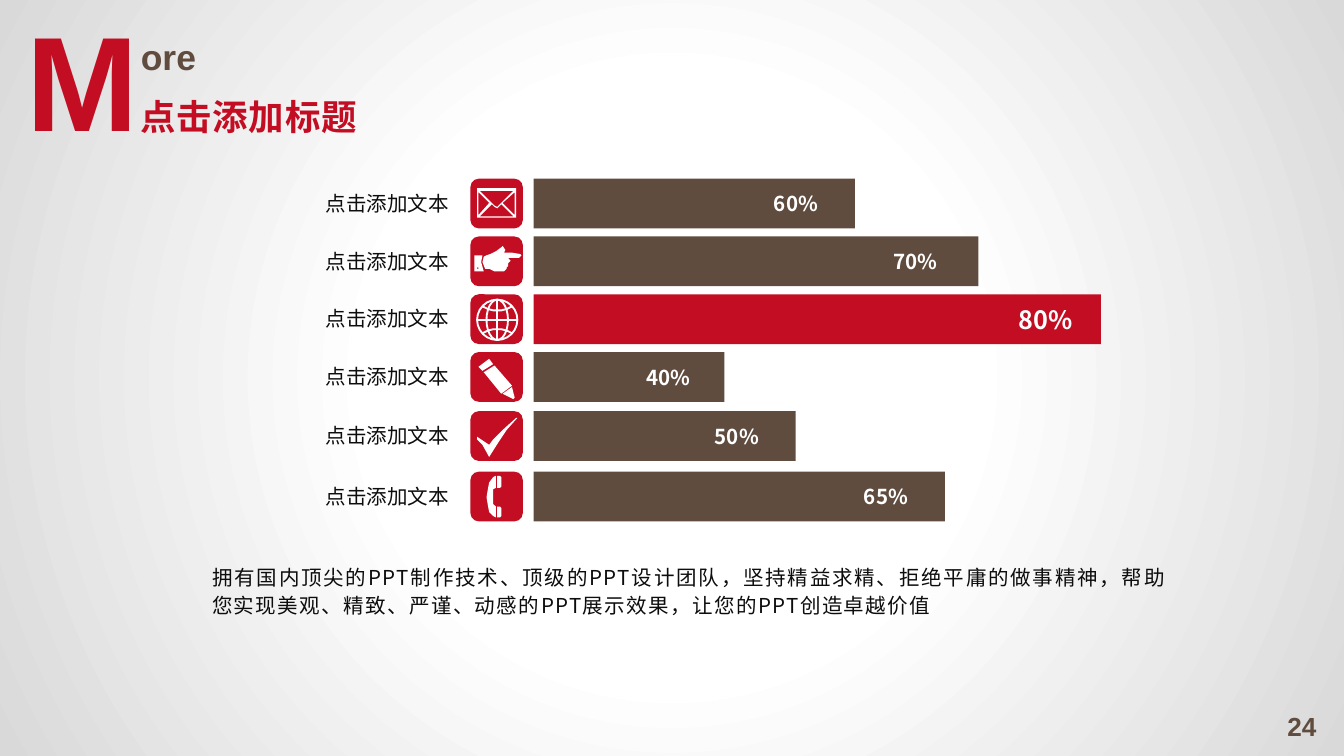
from lxml.etree import SubElement
from pptx import Presentation
from pptx.dml.color import RGBColor
from pptx.enum.shapes import MSO_CONNECTOR, MSO_SHAPE
from pptx.enum.text import MSO_ANCHOR, MSO_AUTO_SIZE, PP_ALIGN
from pptx.oxml.ns import qn
from pptx.util import Inches, Pt

COLORS = {"red": "C30D23", "brown": "604C3F", "white": "FFFFFF",
          "grey": "D9D9D9", "ink": "0D0D0D"}
LATIN, CHINESE = "Arial", "Noto Sans CJK SC"

SLIDE_WIDTH = 10
SLIDE_HEIGHT = SLIDE_WIDTH * 9 / 16
LABEL_LEFT, ICON_LEFT, BAR_LEFT = 2.29, 3.5, 3.97
LABEL_WIDTH, ICON_WIDTH, ROW_HEIGHT = 1.15, 0.39, 0.37
VALUE_WIDTH = 0.89

# Icon outlines, in hundredths of an inch from the corner of their tile
ENVELOPE = [
    [(34, 29), (5, 29), (5, 7), (34, 7)],
    [(33, 27), (33, 10), (24, 18)],
    [(32, 9), (7, 9), (18, 20), (20, 21), (21, 20)],
    [(32, 28), (23, 19), (21, 21), (20, 22), (18, 21), (16, 19), (7, 28)],
    [(14, 18), (6, 10), (6, 27)],
]
HAND = [
    [(18, 26), (16, 25), (14, 24), (11, 24), (9, 19), (10, 15), (12, 14),
     (15, 13), (19, 11), (23, 8), (24, 7), (26, 10), (25, 12), (31, 12),
     (37, 13), (38, 14), (36, 16), (28, 16), (30, 18), (28, 20), (28, 22),
     (27, 23), (27, 24), (25, 26)],
    [(9, 14), (8, 19), (10, 26), (3, 26), (3, 14)],
    [(5, 23), (6, 23), (6, 24), (5, 24)],
]
PENCIL = [
    [(31, 26), (33, 34), (32, 35), (24, 31)],
    [(6, 11), (14, 5), (17, 9), (9, 14)],
    [(18, 10), (31, 25), (23, 31), (10, 15)],
]
CHECK = [[(5, 19), (14, 25), (17, 21), (24, 14), (34, 5), (35, 5),
          (27, 14), (21, 23), (14, 34), (9, 25), (5, 21)]]
PHONE = [
    [(20, 12), (20, 3), (22, 3), (23, 4), (23, 11), (22, 12)],
    [(19, 26), (19, 34), (17, 33), (14, 30), (13, 25), (12, 19), (13, 13),
     (14, 8), (17, 4), (19, 3), (19, 12), (17, 13), (17, 19), (17, 24)],
    [(20, 34), (20, 26), (22, 26), (23, 27), (23, 33), (22, 34)],
]
GLOBE = None  # made of rings and lines

# Row top, icon, value, bar length, value indent from the bar's end, colour, value size
ROWS = [
    (1.33, ENVELOPE, "60%", 2.39, 0.7, "brown", 11),
    (1.76, HAND, "70%", 3.31, 0.73, "brown", 11),
    (2.19, GLOBE, "80%", 4.22, 0.71, "red", 13.5),
    (2.62, PENCIL, "40%", 1.42, 0.68, "brown", 11),
    (3.06, CHECK, "50%", 1.95, 0.7, "brown", 11),
    (3.51, PHONE, "65%", 3.06, 0.7, "brown", 11),
]


def rgb(name):
    return RGBColor.from_string(COLORS[name])


def inches(*lengths):
    return [Inches(length) for length in lengths]


def add_text(slide, text, box, size, color, font=CHINESE, bold=False, spacing=0,
             align=PP_ALIGN.LEFT, anchor=MSO_ANCHOR.TOP, wrap=False,
             line_height=None, holder=None):
    """Write text into a new text box, or into the placeholder given as holder."""
    holder = holder or slide.shapes.add_textbox(0, 0, 0, 0)
    holder.left, holder.top, holder.width, holder.height = inches(*box)
    frame = holder.text_frame
    frame.word_wrap = wrap
    frame.auto_size = MSO_AUTO_SIZE.SHAPE_TO_FIT_TEXT
    frame.vertical_anchor = anchor
    paragraph = frame.paragraphs[0]
    paragraph.alignment = align
    if line_height:
        paragraph.line_spacing = Pt(line_height)
    run = paragraph.add_run()
    run.text = text
    run.font.name, run.font.size, run.font.bold = font, Pt(size), bold
    run.font.color.rgb = rgb(color)
    properties = run._r.get_or_add_rPr()
    SubElement(properties, qn("a:ea"), typeface=font)
    if spacing:
        properties.set("spc", str(round(spacing * 100)))


def paint(shape, fill=None, line=None):
    shape.shadow.inherit = False
    if fill:
        shape.fill.solid()
        shape.fill.fore_color.rgb = rgb(fill)
    else:
        shape.fill.background()
    if line:
        shape.line.color.rgb = rgb(line)
        shape.line.width = Pt(1)
    else:
        shape.line.fill.background()


def add_block(slide, box, color, rounding):
    block = slide.shapes.add_shape(MSO_SHAPE.ROUNDED_RECTANGLE, *inches(*box))
    block.adjustments[0] = rounding
    paint(block, fill=color)


def add_outline(slide, contours, left, top, closed=True):
    """Draw contours as one shape; inner contours become holes."""
    builder = slide.shapes.build_freeform(*contours[0][0], scale=Inches(0.01))
    for index, (start, *others) in enumerate(contours):
        if index:
            builder.move_to(*start)
        builder.add_line_segments(others, close=closed)
    outline = builder.convert_to_shape(*inches(left, top))
    if closed:
        paint(outline, fill="white")
    else:
        paint(outline, line="white")


def add_globe(slide, left, top):
    center_x, center_y, radius = left + 0.2, top + 0.19, 0.15
    for half_width in (radius, 0.08):
        ring = slide.shapes.add_shape(MSO_SHAPE.OVAL, *inches(
            center_x - half_width, center_y - radius, 2 * half_width, 2 * radius))
        paint(ring, line="white")
    for dx, dy in ((radius, 0), (0, radius)):
        axis = slide.shapes.add_connector(MSO_CONNECTOR.STRAIGHT, *inches(
            center_x - dx, center_y - dy, center_x + dx, center_y + dy))
        axis.line.color.rgb = rgb("white")
        axis.line.width = Pt(1)
        SubElement(axis.element.spPr, qn("a:effectLst"))
    for side in (-1, 1):
        latitude = [(x, side * y) for x, y in
                    ((-11, 10), (-7, 8), (-3, 7), (3, 7), (7, 8), (11, 10))]
        add_outline(slide, [latitude], center_x, center_y, closed=False)


def add_row(slide, top, icon, value, length, indent, color, value_size):
    add_block(slide, (BAR_LEFT, top, length, ROW_HEIGHT), color, 0)
    value_height = value_size * 0.02 + 0.07
    add_text(slide, value,
             (BAR_LEFT + length - indent,
              top + (ROW_HEIGHT - value_height) / 2, VALUE_WIDTH, value_height),
             value_size, "white", bold=True, anchor=MSO_ANCHOR.MIDDLE, wrap=True)
    add_block(slide, (ICON_LEFT, top, ICON_WIDTH, ROW_HEIGHT), "red", 0.17)
    if icon is GLOBE:
        add_globe(slide, ICON_LEFT, top)
    else:
        add_outline(slide, icon, ICON_LEFT, top)
    add_text(slide, "点击添加文本", (LABEL_LEFT, top + 0.04, LABEL_WIDTH, 0.29),
             11, "ink", align=PP_ALIGN.RIGHT, wrap=True)


def set_radial_background(slide):
    fill = slide.background.fill
    fill.gradient()
    for stop, position, color in zip(fill.gradient_stops, (0.39, 1), ("white", "grey")):
        stop.position = position
        stop.color.rgb = rgb(color)
    linear = slide.element.find(".//" + qn("a:lin"))
    gradient = linear.getparent()
    gradient.remove(linear)
    radial = SubElement(gradient, qn("a:path"), {"path": "circle"})
    SubElement(radial, qn("a:fillToRect"), dict.fromkeys("ltrb", "50000"))


def main():
    deck = Presentation()
    deck.slide_width, deck.slide_height = inches(SLIDE_WIDTH, SLIDE_HEIGHT)
    slide = deck.slides.add_slide(deck.slide_layouts[5])
    set_radial_background(slide)

    add_text(slide, "点击添加标题", (0.83, 0.66, 2.04, 0.42), 19, "red", bold=True,
             spacing=0.5, align=PP_ALIGN.CENTER, holder=slide.shapes.title)
    add_text(slide, "M", (0.1, -0.07, 1.04, 1.31), 72, "red", font=LATIN, bold=True)
    add_text(slide, "ore", (0.95, 0.21, 0.62, 0.42), 19, "brown", font=LATIN, bold=True)
    add_text(slide, "24", (9.48, 5.24, 0.42, 0.34), 14, "brown", font=LATIN, bold=True)

    for row in ROWS:
        add_row(slide, *row)

    add_text(slide, "拥有国内顶尖的PPT制作技术、顶级的PPT设计团队，坚持精益求精、"
             "拒绝平庸的做事精神，帮助您实现美观、精致、严谨、动感的PPT展示效果，"
             "让您的PPT创造卓越价值", (1.48, 4.13, 7.3, 0.52), 11, "ink", spacing=0.7,
             align=PP_ALIGN.JUSTIFY, wrap=True, line_height=15)
    deck.save("out.pptx")


if __name__ == "__main__":
    main()
